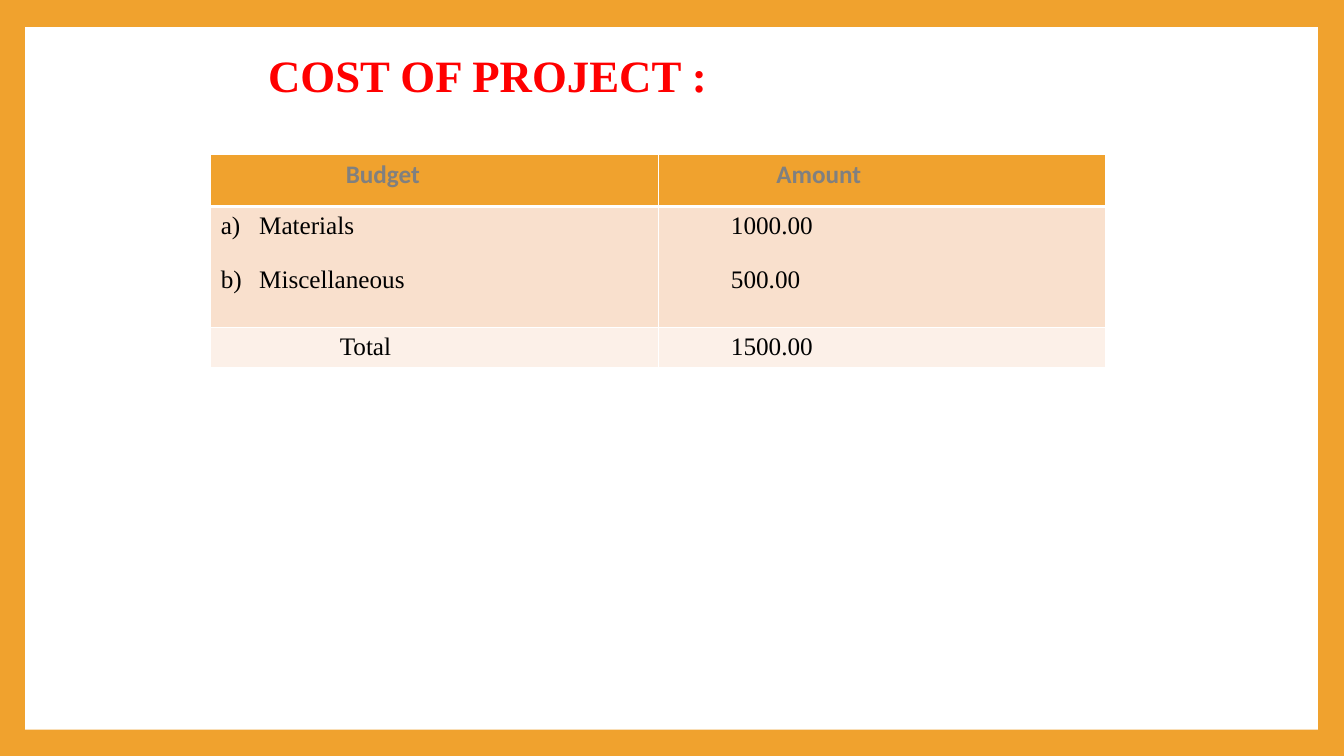
from lxml import etree
from pptx import Presentation
from pptx.dml.color import RGBColor
from pptx.enum.shapes import MSO_SHAPE
from pptx.enum.text import MSO_ANCHOR
from pptx.oxml.ns import qn
from pptx.util import Inches, Pt

RECT = MSO_SHAPE.RECTANGLE
MIDDLE = MSO_ANCHOR.MIDDLE
SERIF, SANS = "Times New Roman", "Calibri"
ORANGE, WHITE, RED, GREY, BLACK = "F0A22E", "FFFFFF", "FF0000", "808080", "000000"
ITEM_FILL, TOTAL_FILL = "F9E0CD", "FCF0E8"
AMOUNT_INDENT = 0.62
LINE_GAP = 18.6

# Each cell: lines, left indent in inches, lettered list or not
ROWS = [
    (0.52, ORANGE, [(["Budget"], 1.24, False), (["Amount"], 1.07, False)]),
    (1.2, ITEM_FILL, [(["Materials", "Miscellaneous"], 0.38, True),
                      (["1000.00", "500.00"], AMOUNT_INDENT, False)]),
    (0.37, TOTAL_FILL, [(["Total"], 1.18, False), (["1500.00"], AMOUNT_INDENT, False)]),
]


def rgb(color):
    return RGBColor.from_string(color)


def format_paragraph(p, indent, font, size, color, bold, lettered=False):
    pPr = p._p.get_or_add_pPr()
    pPr.set("marL", str(Inches(indent)))
    pPr.set("indent", str(-Inches(indent) if lettered else 0))
    if lettered:
        etree.SubElement(pPr, qn("a:buAutoNum"), type="alphaLcParenR")
    for r in p.runs:
        r.font.name = font
        r.font.size = Pt(size)
        r.font.bold = bold
        r.font.color.rgb = rgb(color)


def add_panel(slide):
    s = slide.shapes.add_shape(RECT, Inches(0.25), Inches(0.27), Inches(12.82), Inches(6.97))
    s.shadow.inherit = False
    s.fill.solid()
    s.fill.fore_color.rgb = rgb(WHITE)
    s.line.fill.background()


def add_title(slide, text):
    s = slide.shapes.add_textbox(Inches(0.54), Inches(0.42), Inches(8.88), Inches(0.71))
    tf = s.text_frame
    tf.word_wrap = True
    tf.vertical_anchor = MIDDLE
    tf.text = text
    p = tf.paragraphs[0]
    p.line_spacing = 0.9
    format_paragraph(p, 2.02, SERIF, 32, RED, True)


def set_borders(cell, top, bottom):
    """Draw white borders; top and bottom are widths in points."""
    tcPr = cell._tc.get_or_add_tcPr()
    for side, width in (("L", 1), ("R", 1), ("T", top), ("B", bottom)):
        ln = etree.SubElement(tcPr, qn(f"a:ln{side}"), w=str(Pt(width)))
        fill = etree.SubElement(ln, qn("a:solidFill"))
        etree.SubElement(fill, qn("a:srgbClr"), val=WHITE)


def fill_cell(cell, lines, indent, lettered, header):
    tf = cell.text_frame
    tf.text = "\n".join(lines)
    font, color = (SANS, GREY) if header else (SERIF, BLACK)
    for i, p in enumerate(tf.paragraphs):
        format_paragraph(p, indent, font, 18, color, header, lettered)
        if i:
            p.space_before = Pt(LINE_GAP)


def add_budget_table(slide):
    height = sum(row[0] for row in ROWS)
    table = slide.shapes.add_table(len(ROWS), 2, Inches(2.09), Inches(1.53),
                                   Inches(8.88), Inches(height)).table
    for i, (row_height, color, cells) in enumerate(ROWS):
        table.rows[i].height = Inches(row_height)
        for j, (lines, indent, lettered) in enumerate(cells):
            cell = table.cell(i, j)
            set_borders(cell, 3 if i == 1 else 1, 3 if i == 0 else 1)
            cell.fill.solid()
            cell.fill.fore_color.rgb = rgb(color)
            fill_cell(cell, lines, indent, lettered, header=i == 0)


def main():
    prs = Presentation()
    prs.slide_width, prs.slide_height = Inches(13.33), Inches(7.5)
    slide = prs.slides.add_slide(prs.slide_layouts[6])
    slide.background.fill.solid()
    slide.background.fill.fore_color.rgb = rgb(ORANGE)
    add_panel(slide)
    add_title(slide, "COST OF PROJECT :")
    add_budget_table(slide)
    prs.save("out.pptx")


if __name__ == "__main__":
    main()
